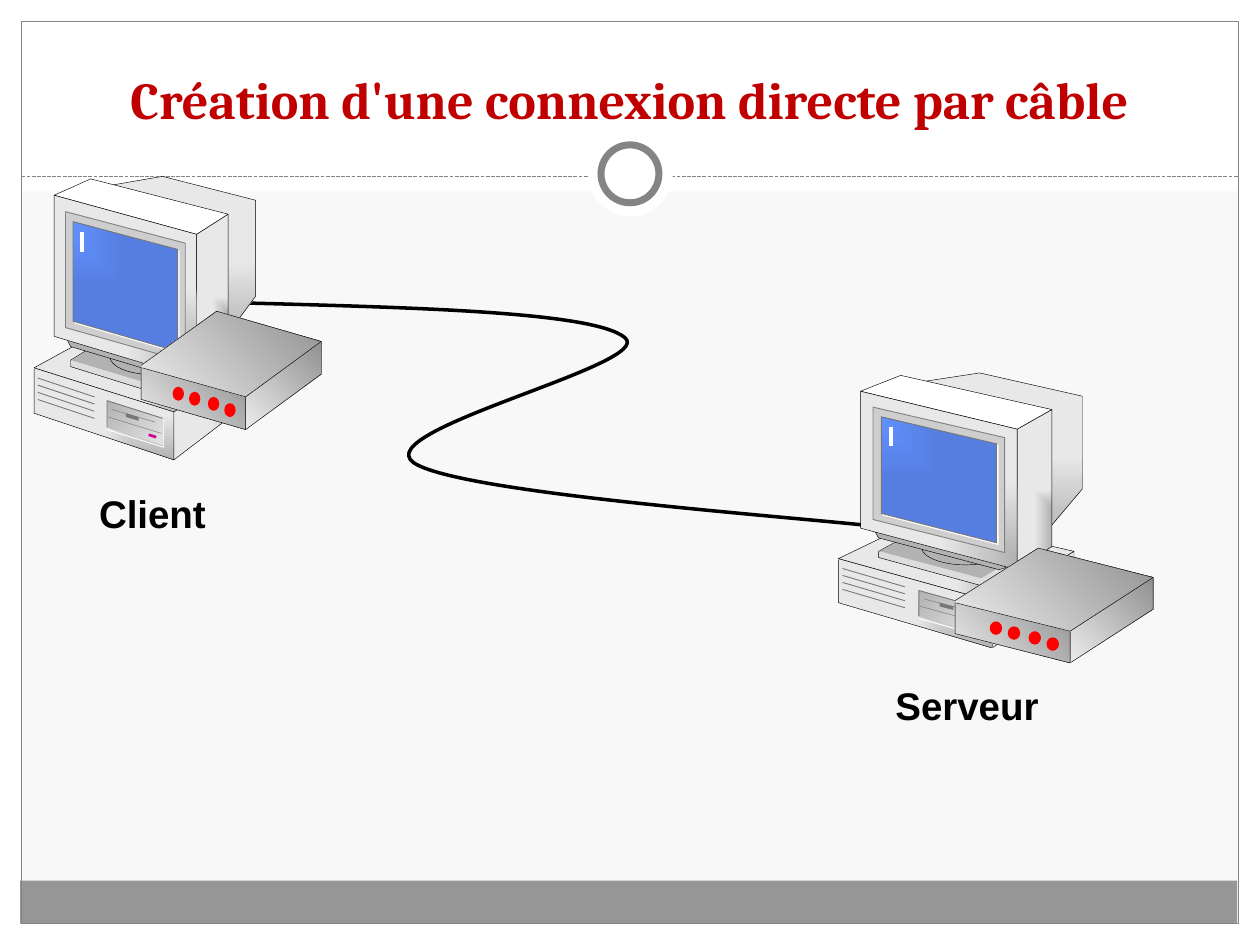
from lxml.etree import SubElement
from pptx import Presentation
from pptx.dml.color import RGBColor
from pptx.enum.dml import MSO_LINE
from pptx.enum.shapes import MSO_CONNECTOR, MSO_SHAPE
from pptx.enum.text import MSO_ANCHOR, MSO_AUTO_SIZE, PP_ALIGN
from pptx.oxml.ns import qn
from pptx.util import Cm, Pt

WHITE = RGBColor(0xFF, 0xFF, 0xFF)
BLACK = RGBColor(0x00, 0x00, 0x00)
PAPER = RGBColor(0xF8, 0xF8, 0xF8)
FOOTER = RGBColor(0x96, 0x96, 0x96)
RULE = RGBColor(0x84, 0x84, 0x84)
TITLE_RED = RGBColor(0xC0, 0x00, 0x00)
LED_RED = RGBColor(0xFF, 0x00, 0x00)
PINK = RGBColor(0xD6, 0x00, 0x93)
DETAIL = RGBColor(0x77, 0x77, 0x77)
SHADE = RGBColor(0xB2, 0xB2, 0xB2)
STAND = RGBColor(0xDD, 0xDD, 0xDD)
BEZEL = RGBColor(0xCE, 0xCE, 0xCE)
BEZEL_EDGE = RGBColor(0x80, 0x80, 0x80)

# Gradients: first colour, last colour, then a focus corner or an angle
CASE = dict(stops=(SHADE, RGBColor(0xE8, 0xE8, 0xE8)), focus="lt")
DRIVE = dict(stops=(SHADE, RGBColor(0xE3, 0xE3, 0xE3)), angle=315)
GLASS = dict(stops=(RGBColor(0x61, 0x8F, 0xFD), RGBColor(0x56, 0x7E, 0xE0)), focus="rb")
BOX = dict(stops=(RGBColor(0xEC, 0xEC, 0xEC), RGBColor(0x91, 0x91, 0x91)), angle=45)

# Outlines: colour, width in points
OUTLINE = (BLACK, 0.25)
FINE = (DETAIL, 0.25)
THIN = (DETAIL, 0.5)

UNIT = 2.54  # centimetres in one drawing unit
TITLE_FONT = dict(name="Cambria", size=Pt(29.7), bold=True)
LABEL_FONT = dict(name="Arial", size=Pt(22), bold=True)


class Drawing:
    def __init__(self, s):
        self.s = s
        self.shapes = s.shapes
        self.place()

    def place(self, base=(0, 0), at=(0, 0), scale=(1, 1)):
        """Map the point base to at, and stretch around it."""
        self.base, self.at, self.scale = base, at, scale

    def group(self, *placing):
        self.shapes = self.s.shapes.add_group_shape().shapes
        self.place(*placing)

    def ungroup(self):
        self.shapes = self.s.shapes
        self.place()

    def point(self, xy):
        return [Cm(UNIT * (a + (v - b) * k))
                for v, b, a, k in zip(xy, self.base, self.at, self.scale)]

    def size(self, wh):
        return [Cm(UNIT * v * k) for v, k in zip(wh, self.scale)]

    def paint(self, shape, fill, line):
        shape.shadow.inherit = False
        if fill is None:
            shape.fill.background()
        elif isinstance(fill, dict):
            self.gradient(shape, **fill)
        else:
            shape.fill.solid()
            shape.fill.fore_color.rgb = fill
        if line:
            self.stroke(shape, line)
        else:
            shape.line.fill.background()
        return shape

    def stroke(self, shape, line):
        shape.line.color.rgb, shape.line.width = line[0], Pt(line[1])

    def gradient(self, shape, stops, focus=None, angle=0):
        shape.fill.gradient()
        shape.fill.gradient_angle = angle
        for stop, colour in zip(shape.fill.gradient_stops, stops):
            stop.color.rgb = colour
        if focus:
            grad = shape.element.spPr.find(qn("a:gradFill"))
            grad.remove(grad.find(qn("a:lin")))
            corner = SubElement(grad, qn("a:path"), {"path": "rect"})
            SubElement(corner, qn("a:fillToRect"), {side: "100000" for side in focus})

    def preset(self, kind, x, y, w, h, fill=None, line=None):
        shape = self.shapes.add_shape(kind, *self.point((x, y)), *self.size((w, h)))
        return self.paint(shape, fill, line)

    def rect(self, *args):
        return self.preset(MSO_SHAPE.RECTANGLE, *args)

    def oval(self, *args):
        return self.preset(MSO_SHAPE.OVAL, *args)

    def poly(self, points, fill=None, line=None, close=False):
        first, *rest = map(self.point, points)
        builder = self.shapes.build_freeform(*first)
        builder.add_line_segments(rest, close=close)
        return self.paint(builder.convert_to_shape(), fill, line)

    def curve(self, points, line):
        """Cubic curve: a start, then three points for each bend."""
        shape = self.poly(points, None, line)
        outline = next(shape.element.iter(qn("a:path")))
        segments = outline.findall(qn("a:lnTo"))
        for i, segment in enumerate(segments):
            if i % 3 == 0:
                bend = SubElement(outline, qn("a:cubicBezTo"))
            bend.append(segment[0])
            outline.remove(segment)

    def line(self, start, end, line):
        c = self.shapes.add_connector(
            MSO_CONNECTOR.STRAIGHT, *self.point(start), *self.point(end))
        self.stroke(c, line)
        SubElement(c.element.spPr, qn("a:effectLst"))
        return c

    def set_text(self, tf, text, font, colour, anchor):
        tf.word_wrap, tf.vertical_anchor = True, anchor
        p = tf.paragraphs[0]
        p.alignment = PP_ALIGN.CENTER
        r = p.add_run()
        r.text = text
        for name, value in font.items():
            setattr(r.font, name, value)
        r.font.color.rgb = colour

    def title(self, text, x, y, w, h):
        sp = self.s.shapes.title
        sp.left, sp.top = self.point((x, y))
        sp.width, sp.height = self.size((w, h))
        sp.text_frame.auto_size = MSO_AUTO_SIZE.NONE
        self.set_text(sp.text_frame, text, TITLE_FONT, TITLE_RED, MSO_ANCHOR.BOTTOM)
        sp.element.getparent().append(sp.element)  # in front of the frame

    def label(self, text, x, y, w, h):
        tf = self.shapes.add_textbox(*self.point((x, y)), *self.size((w, h))).text_frame
        tf.auto_size = MSO_AUTO_SIZE.SHAPE_TO_FIT_TEXT
        self.set_text(tf, text, LABEL_FONT, BLACK, MSO_ANCHOR.MIDDLE)

    def frame(self):
        for box in ((0, 7.33, 10, 0.17), (0, 0, 10, 1.52),
                    (0, 0, 0.17, 7.5), (9.83, 0, 0.17, 7.5)):
            self.rect(*box, WHITE)
        self.rect(0.16, 6.99, 9.66, 0.34, FOOTER)
        self.rect(0.17, 0.17, 9.66, 7.16, None, (RULE, 0.75))
        rule = self.line((0.17, 1.4), (9.83, 1.4), (RULE, 0.75))
        rule.line.dash_style = MSO_LINE.SQUARE_DOT
        self.oval(4.67, 1.05, 0.67, 0.67, WHITE)
        self.oval(4.77, 1.15, 0.46, 0.46, WHITE, (RULE, 4))

    def computer(self, *placing):
        self.group(*placing)
        # Desktop case
        self.poly([(1.39, 3.26), (1.97, 2.86), (1.97, 3.2), (1.38, 3.65)], CASE, OUTLINE)
        self.poly([(1.38, 3.27), (0.27, 2.92), (0.89, 2.58), (1.97, 2.86), (1.38, 3.27)],
                  CASE, OUTLINE)
        self.poly([(0.27, 2.93), (0.27, 3.28), (1.38, 3.65), (1.38, 3.27), (0.27, 2.92)],
                  CASE, OUTLINE)
        # Disk drive and vents
        self.poly([(0.85, 3.18), (1.29, 3.32), (1.29, 3.53), (0.85, 3.39), (0.85, 3.18)], DRIVE)
        self.poly([(0.86, 3.31), (1.28, 3.44)], None, FINE)
        self.poly([(0.85, 3.39), (0.85, 3.18), (1.29, 3.32)], None, THIN)
        self.line((0.89, 3.25), (1.23, 3.35), FINE)
        self.line((1.18, 3.45), (1.24, 3.47), (PINK, 1.5))
        self.poly([(1, 3.28), (1, 3.31), (1.1, 3.34), (1.1, 3.31)], DETAIL, close=True)
        for i in range(4):
            y = 3 + 0.057 * i
            self.line((0.3, y), (0.75, y + 0.15), THIN)
        self.poly([(0.85, 3.41), (1.3, 3.55), (1.3, 3.33)], None, (WHITE, 0.5))
        # Stand
        self.poly([(0.56, 2.86), (1.09, 2.53), (1.8, 2.77), (1.8, 2.81), (1.3, 3.14),
                   (0.56, 2.91)], STAND, OUTLINE, close=True)
        self.poly([(0.57, 2.86), (1.3, 3.08), (1.77, 2.77), (1.09, 2.54)], SHADE, close=True)
        self.oval(0.87, 2.68, 0.63, 0.29, SHADE, OUTLINE)
        self.poly([(0.53, 2.69), (0.56, 2.75), (1.43, 3.01), (1.54, 2.97)], SHADE, OUTLINE)
        # Monitor: back, side, top, front
        self.poly([(1.74, 2.74), (2.03, 2.35), (2.03, 1.59), (1.29, 1.4), (0.77, 1.49)],
                  CASE, OUTLINE)
        self.poly([(1.56, 3.01), (1.56, 1.86), (1.81, 1.7), (1.81, 2.82), (1.56, 3.01)],
                  CASE, OUTLINE)
        self.poly([(1.56, 1.86), (0.43, 1.55), (0.72, 1.42), (1.81, 1.7), (1.56, 1.86)],
                  WHITE, OUTLINE)
        self.poly([(1.56, 3.01), (1.56, 1.86), (0.43, 1.55), (0.43, 2.67), (1.56, 3.01)],
                  CASE, OUTLINE)
        self.poly([(1.47, 2.87), (1.47, 1.93), (0.52, 1.68), (0.52, 2.6), (1.47, 2.87)],
                  BEZEL, (BEZEL_EDGE, 0.5))
        # Screen with a white edge shadow and a cursor
        screen = self.poly([(0.58, 1.76), (0.58, 2.55), (1.41, 2.79), (1.41, 1.98)],
                           GLASS, THIN, close=True)
        effects = screen.element.spPr.find(qn("a:effectLst"))
        shadow = SubElement(effects, qn("a:outerShdw"),
                            {"dist": str(Pt(1.4)), "dir": "2700000", "rotWithShape": "0"})
        SubElement(shadow, qn("a:srgbClr"), {"val": str(WHITE)})
        self.line((0.65, 1.84), (0.65, 2), (WHITE, 2))
        self.ungroup()

    def modem(self, *placing):
        self.group(*placing)
        self.poly([(1.95, 3.15), (2.55, 2.71), (2.55, 2.97), (1.95, 3.41), (1.95, 3.15)],
                  BOX, OUTLINE)
        self.poly([(1.95, 3.15), (1.95, 3.41), (1.12, 3.17), (1.12, 2.91)], BOX, OUTLINE)
        for x, y in ((1.37, 3.07), (1.5, 3.11), (1.65, 3.15), (1.78, 3.2)):
            self.oval(x, y, 0.09, 0.11, LED_RED)
        self.poly([(1.12, 2.9), (1.72, 2.47), (2.55, 2.71), (1.95, 3.15), (1.13, 2.92)],
                  BOX, OUTLINE)
        self.ungroup()


def main():
    prs = Presentation()
    prs.slide_width, prs.slide_height = Cm(25.4), Cm(19.05)
    s = prs.slides.add_slide(prs.slide_layouts[5])
    s.background.fill.solid()
    s.background.fill.fore_color.rgb = PAPER
    d = Drawing(s)
    d.frame()
    # Cable
    d.curve([(1.78, 2.4), (3.24, 2.44), (4.71, 2.47), (4.96, 2.68), (5.21, 2.89),
             (2.93, 3.41), (3.28, 3.67), (3.63, 3.92), (6.43, 4.11), (7.07, 4.19)], (BLACK, 2))
    d.title("Création d'une connexion directe par câble", 0, 0.25, 10, 0.83)
    # Client
    d.computer()
    d.label("Client", 0.59, 3.84, 1.24, 0.47)
    d.modem()
    # Server: the same devices, wider and slightly lower
    stretch = (1.1, 0.97)
    d.computer((0.43, 1.4), (6.83, 2.96), stretch)
    d.label("Serveur", 6.81, 5.36, 1.73, 0.47)
    d.modem((1.12, 2.47), (7.58, 4.35), stretch)
    prs.save("out.pptx")


if __name__ == "__main__":
    main()
